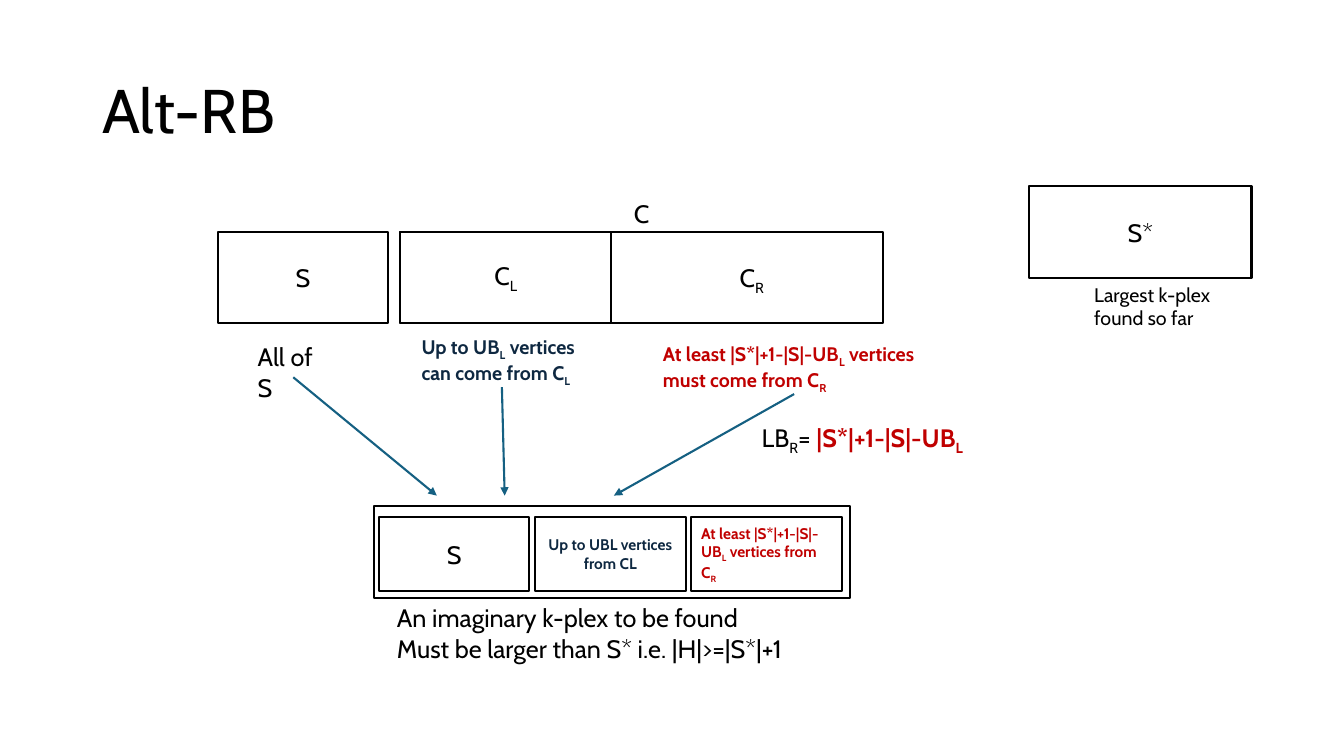
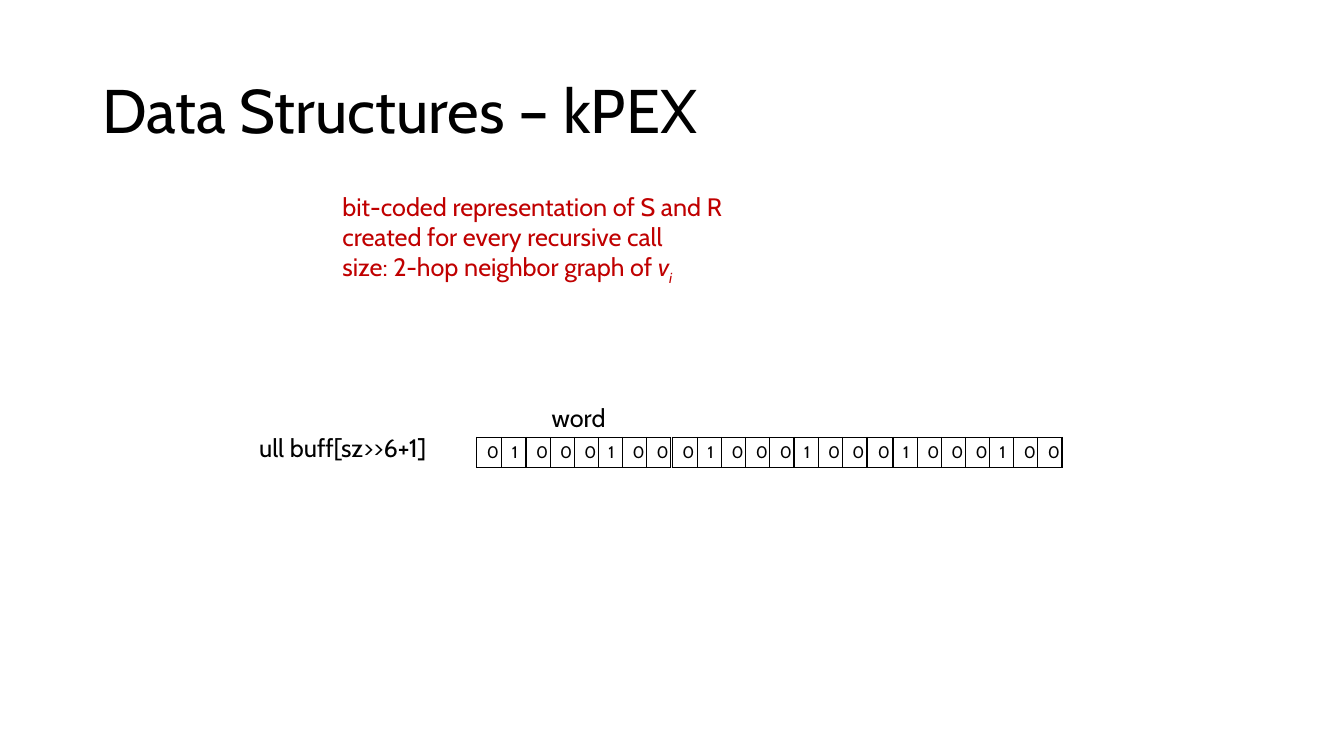
"""Build two slides on k-plex search: the Alt-RB bound and the kPEX bit buffer."""
from dataclasses import dataclass

from lxml import etree
from pptx import Presentation
from pptx.dml.color import RGBColor
from pptx.enum import shapes, text
from pptx.oxml import ns
from pptx.util import Pt


@dataclass(frozen=True)
class Theme:
    """Colours, font and sizes that the slides share."""
    font: str = "Cabin"
    black: str = "000000"
    white: str = "FFFFFF"
    navy: str = "0E2841"
    red: str = "C00000"
    teal: str = "156082"
    title: float = 44
    body: float = 18
    note: float = 14
    bit: float = 12
    small: float = 11
    line: float = 1.5
    grid: float = 1


THEME = Theme()
CENTER = text.PP_ALIGN.CENTER
LEFT = text.PP_ALIGN.LEFT
MIDDLE = text.MSO_ANCHOR.MIDDLE
TOP = text.MSO_ANCHOR.TOP
NAVY_NOTE = {"size": THEME.note, "color": THEME.navy, "bold": True}
RED_NOTE = {"size": THEME.note, "color": THEME.red, "bold": True}


def sub(letters, **values):
    """Return a subscript span."""
    return letters, {"baseline": -25000, **values}


def format_span(span, values):
    """Apply a dict of format values to one span."""
    look = {"name": THEME.font, "size": THEME.body, "color": THEME.black, **values}
    for name, value in look.items():
        if name == "color":
            span.font.color.rgb = RGBColor.from_string(value)
        elif name == "baseline":
            span.font._element.set("baseline", str(value))
        else:
            setattr(span.font, name, Pt(value) if name == "size" else value)


def write(frame, lines, align=LEFT, spacing=None, **values):
    """Fill a text frame with lines, each a list of strings or (string, format) pairs."""
    for index, line in enumerate(lines):
        para = frame.add_paragraph() if index else frame.paragraphs[0]
        para.alignment = align
        para.line_spacing = spacing
        for item in line:
            words, own = (item, {}) if isinstance(item, str) else item
            span = para.add_run()
            span.text = words
            format_span(span, {**values, **own})


def add_label(page, place, lines, anchor=TOP, **values):
    """Add a wrapping text box."""
    box = page.shapes.add_textbox(*map(Pt, place))
    frame = box.text_frame
    frame.word_wrap = True
    frame.vertical_anchor = anchor
    write(frame, lines, **values)
    return box


def add_box(page, place, spans=(), align=CENTER, **values):
    """Add an outlined white rectangle with optional text."""
    box = page.shapes.add_shape(shapes.MSO_SHAPE.RECTANGLE, *map(Pt, place))
    box.shadow.inherit = False
    box.fill.solid()
    box.fill.fore_color.rgb = RGBColor.from_string(THEME.white)
    box.line.color.rgb = RGBColor.from_string(THEME.black)
    box.line.width = Pt(THEME.line)
    box.text_frame.word_wrap = True
    box.text_frame.vertical_anchor = MIDDLE
    if spans:
        write(box.text_frame, [spans], align=align, **values)


def add_arrow(page, source, x, y):
    """Add an arrow from the bottom of a box to a point."""
    arrow = page.shapes.add_connector(
        shapes.MSO_CONNECTOR.STRAIGHT, Pt(x), Pt(y), Pt(x), Pt(y))
    arrow.begin_connect(source, 2)
    arrow.line.color.rgb = RGBColor.from_string(THEME.teal)
    arrow.line.width = Pt(THEME.line)
    etree.SubElement(arrow.line._get_or_add_ln(), ns.qn("a:tailEnd"), type="triangle")
    etree.SubElement(arrow._element.spPr, ns.qn("a:effectLst"))


def add_borders(cell):
    """Draw a thin black line on every side of a cell."""
    properties = cell._tc.get_or_add_tcPr()
    for side in ("lnL", "lnR", "lnT", "lnB"):
        line = etree.SubElement(properties, ns.qn(f"a:{side}"), w=str(Pt(THEME.grid)))
        fill = etree.SubElement(line, ns.qn("a:solidFill"))
        etree.SubElement(fill, ns.qn("a:srgbClr"), val=THEME.black)


def add_word(page, left, top, bits):
    """Add a one-row table with one bit in each cell."""
    widths = [18] + [16.5] * (len(bits) - 1)
    table = page.shapes.add_table(
        1, len(bits), Pt(left), Pt(top), Pt(sum(widths)), Pt(21.6)).table
    table.first_row = table.horz_banding = False
    for column, width, cell, bit in zip(table.columns, widths, table.rows[0].cells, bits):
        column.width = Pt(width)
        add_borders(cell)
        cell.fill.background()
        write(cell.text_frame, [[bit]], align=CENTER, size=THEME.bit)


def add_page(deck, title):
    """Add a blank slide with its title."""
    page = deck.slides.add_slide(deck.slide_layouts[6])
    add_label(page, (66, 28.8, 828, 104.4), [[title]], anchor=MIDDLE,
              size=THEME.title, spacing=0.9)
    return page


def add_bound_page(deck):
    """Show how S, the left part and the right part make up a larger k-plex."""
    page = add_page(deck, "Alt-RB")
    top, height = 165.5, 65.5
    add_box(page, (286, top, 345, height))
    add_box(page, (156, top, 121, height), ["S"])
    add_box(page, (286, top, 150.5, height), ["C", sub("L")])
    add_label(page, (422.5, 138, 71.5, 29), [["C"]], align=CENTER)
    add_label(page, (501, 183.5, 72, 29), [["C", sub("R")]], align=CENTER)

    add_box(page, (735, 133, 159, height), ["S*"])
    add_label(page, (774.5, 198.5, 111, 41), [["Largest k-plex found so far"]],
              size=THEME.note)

    whole = add_label(page, (177, 240.5, 65, 29), [["All of S"]])
    left = add_label(page, (294, 235.5, 129, 41), [
        ["Up to UB", sub("L"), " vertices can come from C", sub("L")]], **NAVY_NOTE)
    right = add_label(page, (466.5, 240.5, 201.5, 41), [
        ["At least |S*|+1-|S|-UB", sub("L"), " vertices must come from C", sub("R")]],
        **RED_NOTE)
    for source, x in ((whole, 312), (left, 360.5), (right, 438.5)):
        add_arrow(page, source, x, 354)
    strong = {"color": THEME.red, "bold": True}
    add_label(page, (537, 298, 174, 29), [
        ["LB", sub("R"), "=", (" |S*|+1-|S|-UB", strong), sub("L", **strong)]])

    add_box(page, (267, 361.5, 340, height))
    parts = (
        (["S"], {}),
        (["Up to UBL vertices from CL"], {**NAVY_NOTE, "size": THEME.small}),
        (["At least |S*|+1-|S|-UB", sub("L"), " vertices from C", sub("R")],
         {**RED_NOTE, "size": THEME.small, "align": LEFT}),
    )
    for index, (spans, values) in enumerate(parts):
        add_box(page, (270.75 + index * 111.5, 369.5, 107.5, 52.5), spans, **values)
    add_label(page, (276.5, 427, 313, 51), [
        ["An imaginary k-plex to be found"],
        ["Must be larger than S* i.e. |H|>=|S*|+1"]])


def add_buffer_page(deck):
    """Show the bit buffer as a row of words."""
    page = add_page(deck, "Data Structures – kPEX")
    add_label(page, (237.5, 133, 290, 73), [
        ["bit-coded representation of S and R"],
        ["created for every recursive call"],
        ["size: 2-hop neighbor graph of ", ("v", {"italic": True}), sub("i", italic=True)]],
        color=THEME.red)
    add_label(page, (178, 305.5, 145, 29), [["ull buff[sz>>6+1]"]])
    add_label(page, (387, 283.5, 71, 29), [["word"]])
    for index in range(3):
        add_word(page, 340.5 + index * 139.7, 312.5, "01000100")


def main():
    """Build and save the deck."""
    deck = Presentation()
    deck.slide_width, deck.slide_height = Pt(960), Pt(540)
    add_bound_page(deck)
    add_buffer_page(deck)
    deck.save("out.pptx")


if __name__ == "__main__":
    main()
